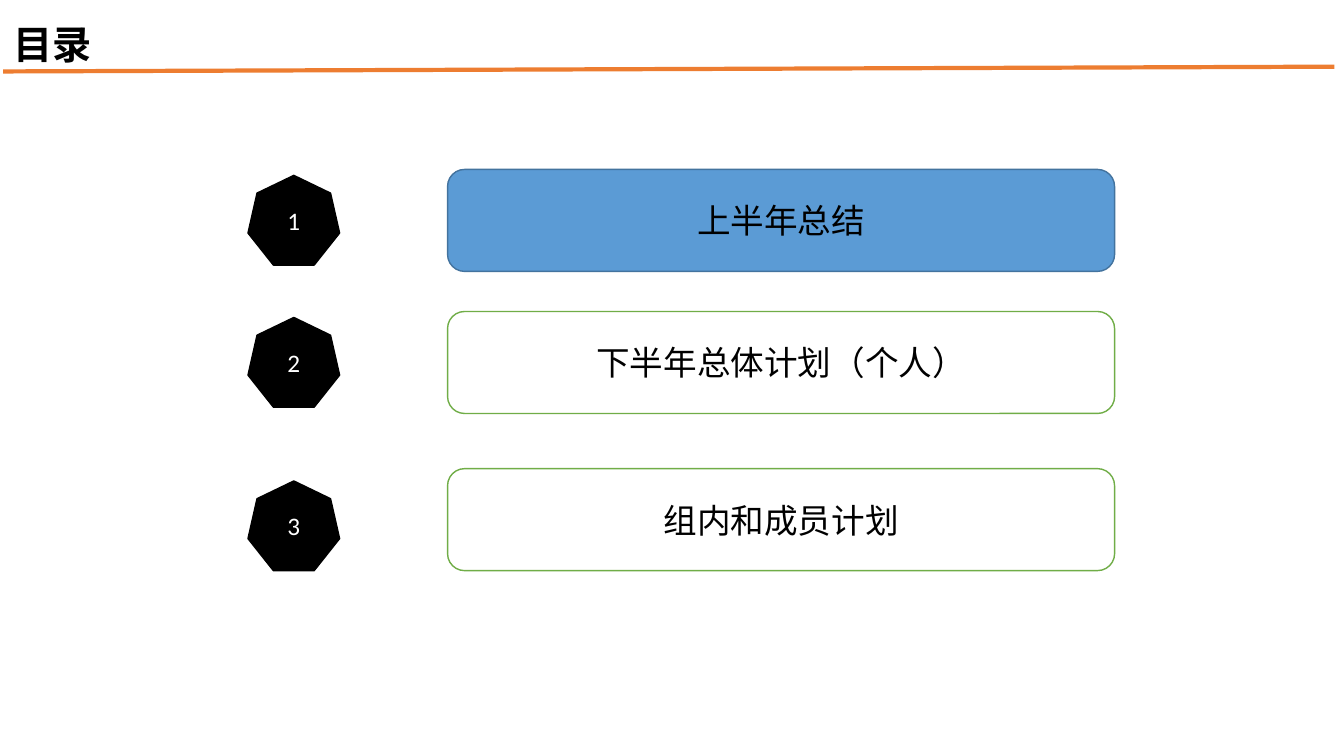
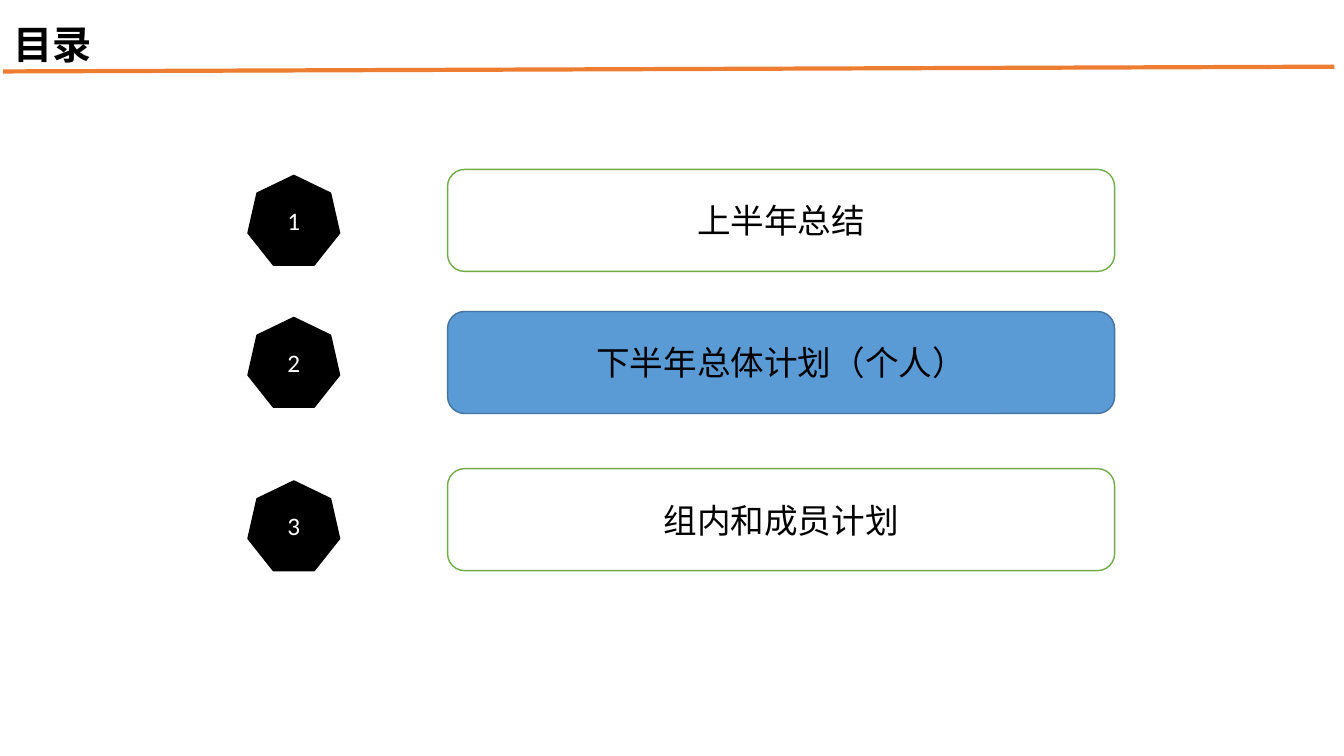
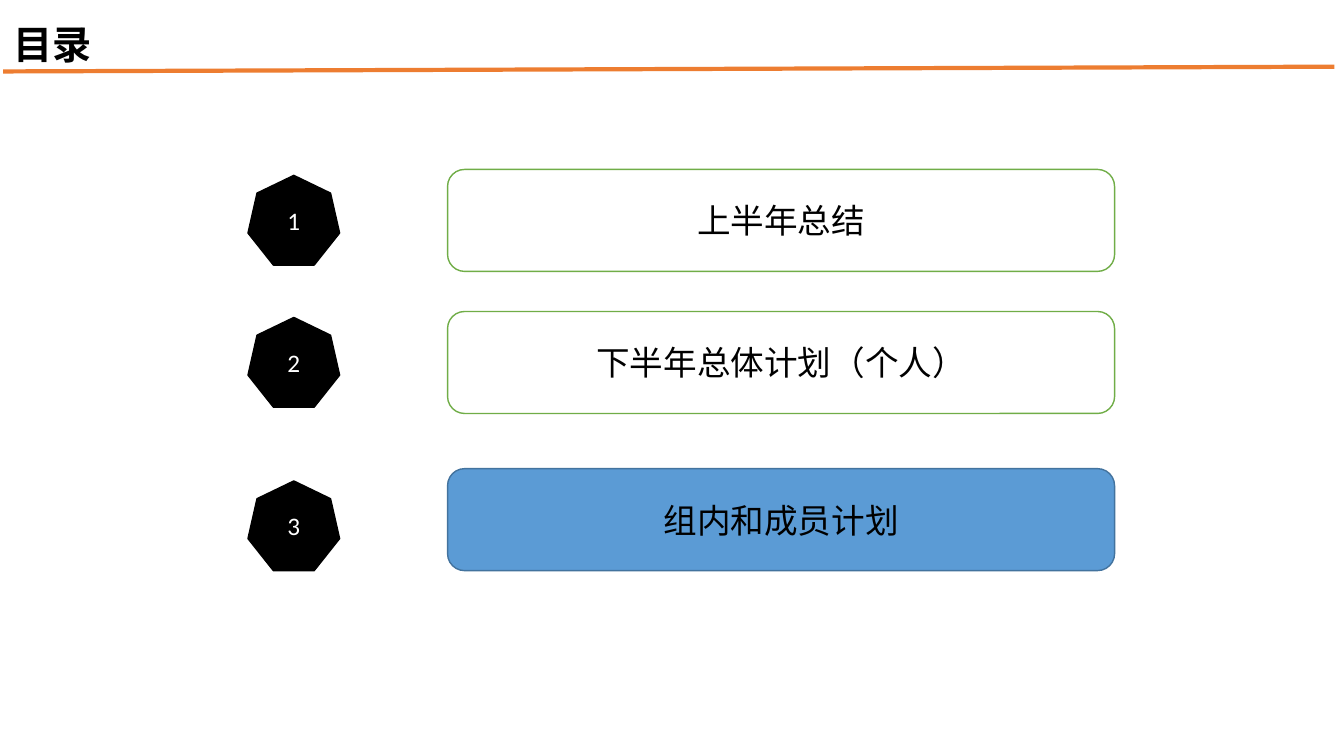
from dataclasses import dataclass

from lxml import etree
from pptx import Presentation
from pptx import slide as sl
from pptx import util as u
from pptx.dml import color, fill
from pptx.enum import shapes, text
from pptx.oxml import ns
from pptx.shapes import autoshape
from pptx.text import text as words

FONT = "Calibri"
BLACK = "000000"
WHITE = "FFFFFF"
ORANGE = "ED7D31"


@dataclass(frozen=True)
class Look:
    fill: str
    line: str
    ink: str
    size: int


@dataclass(frozen=True)
class Topic:
    name: str
    box_top: float
    badge_top: float


CURRENT = Look("5B9BD5", "43739E", BLACK, 24)
OTHER = Look(WHITE, "70AD47", BLACK, 24)
BADGE = Look(BLACK, BLACK, WHITE, 18)

TOPICS = [
    Topic("上半年总结", 4.27, 4.42),
    Topic("下半年总体计划（个人）", 7.85, 8.0),
    Topic("组内和成员计划", 11.81, 12.12),
]


def paint(target: fill.FillFormat, value: str) -> None:
    target.solid()
    target.fore_color.rgb = color.RGBColor.from_string(value)


def add_span(para: words._Paragraph, content: str, size: int, ink: str, bold: bool = False) -> None:
    span = para.add_run()
    span.text = content
    span.font.name = FONT
    span.font.size = u.Pt(size)
    span.font.bold = bold
    paint(span.font.fill, ink)


def add_header(page: sl.Slide) -> None:
    rule = page.shapes.add_connector(
        shapes.MSO_CONNECTOR.STRAIGHT, u.Cm(0.08), u.Cm(1.8), u.Cm(33.63), u.Cm(1.68)
    )
    rule.line.width = u.Pt(3)
    paint(rule.line.fill, ORANGE)
    etree.SubElement(rule.element.spPr, ns.qn("a:effectLst"))

    title = page.shapes.add_textbox(u.Cm(0.08), u.Cm(0.38), u.Cm(10.06), u.Cm(1.45))
    title.text_frame.word_wrap = True
    title.text_frame.auto_size = text.MSO_AUTO_SIZE.SHAPE_TO_FIT_TEXT
    add_span(title.text_frame.paragraphs[0], "目录", 28, BLACK, bold=True)


def add_label(
    page: sl.Slide,
    kind: shapes.MSO_SHAPE,
    left: float,
    top: float,
    width: float,
    height: float,
    content: str,
    look: Look,
) -> autoshape.Shape:
    box = page.shapes.add_shape(kind, u.Cm(left), u.Cm(top), u.Cm(width), u.Cm(height))
    box.shadow.inherit = False
    paint(box.fill, look.fill)
    paint(box.line.fill, look.line)
    box.line.width = u.Pt(1)
    box.text_frame.word_wrap = True
    box.text_frame.vertical_anchor = text.MSO_ANCHOR.MIDDLE
    para = box.text_frame.paragraphs[0]
    para.alignment = text.PP_ALIGN.CENTER
    add_span(para, content, look.size, look.ink)
    return box


def add_agenda(page: sl.Slide, current: Topic) -> None:
    add_header(page)
    for topic in TOPICS:
        look = CURRENT if topic == current else OTHER
        add_label(page, shapes.MSO_SHAPE.ROUNDED_RECTANGLE, 11.28, topic.box_top, 16.81, 2.57, topic.name, look)
    for number, topic in enumerate(TOPICS, start=1):
        add_label(page, shapes.MSO_SHAPE.HEPTAGON, 6.25, topic.badge_top, 2.31, 2.26, str(number), BADGE)


deck = Presentation()
deck.slide_width = u.Cm(33.87)
deck.slide_height = u.Cm(19.05)
for current_topic in TOPICS:
    add_agenda(deck.slides.add_slide(deck.slide_layouts[6]), current_topic)
deck.save("out.pptx")
